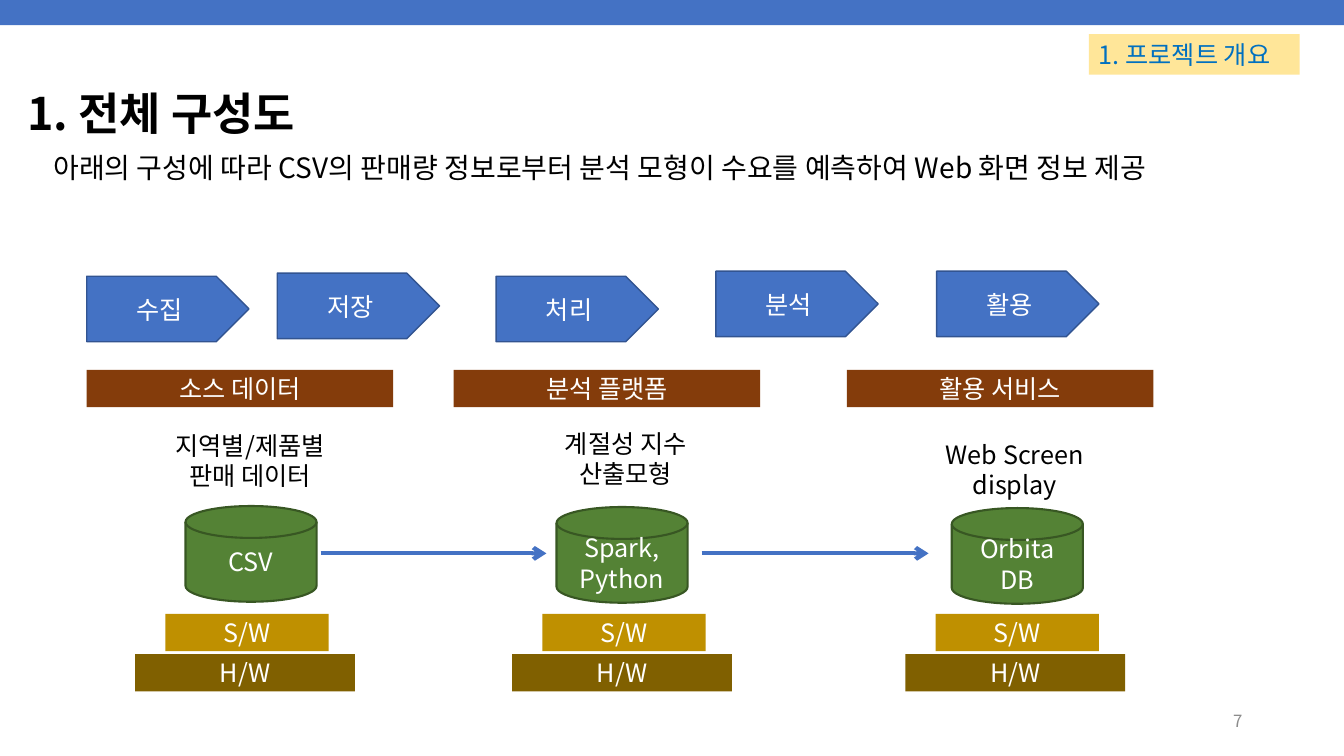
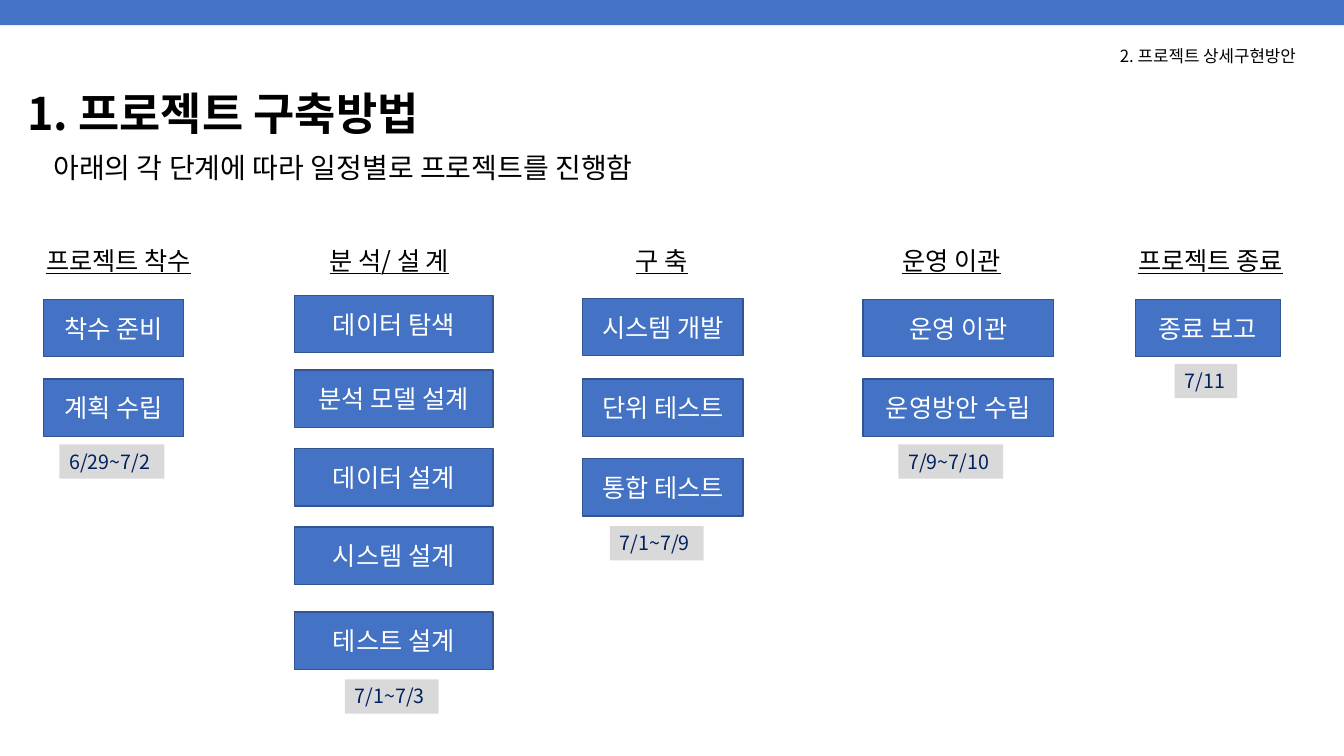
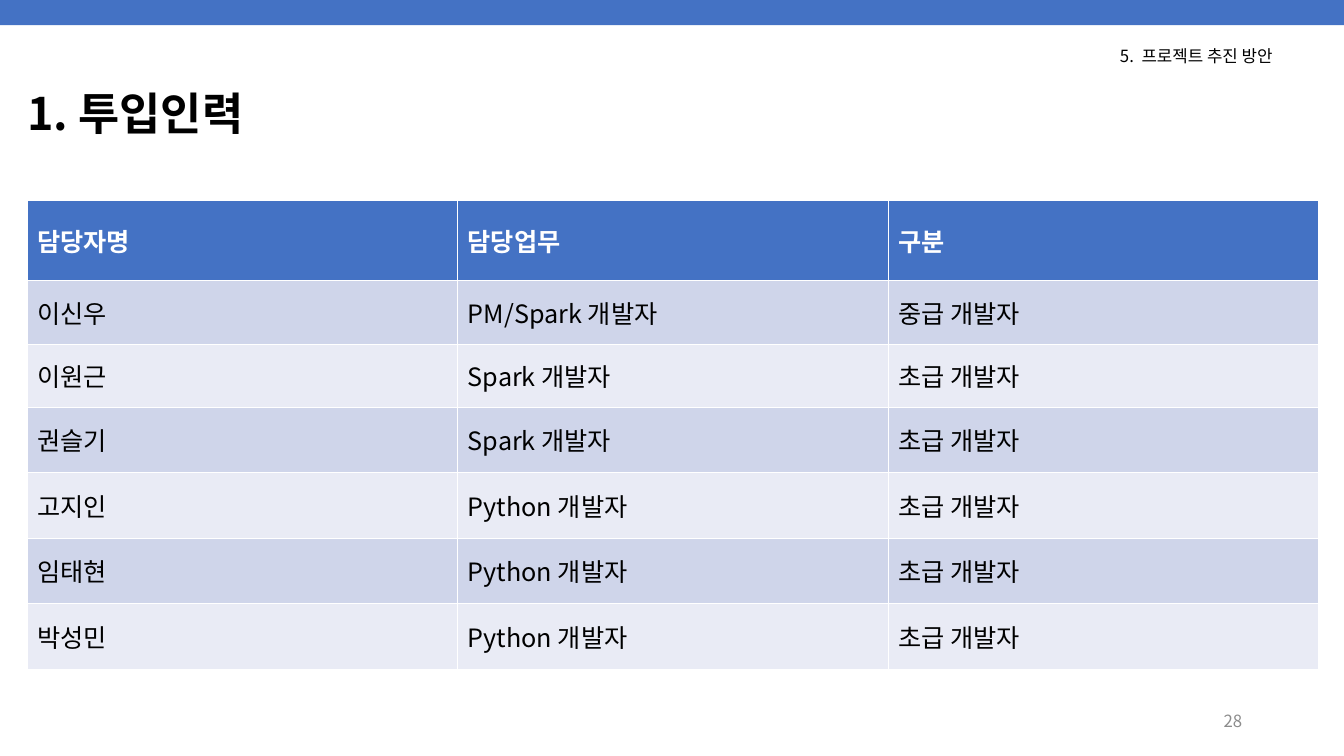
from lxml import etree
from pptx import Presentation
from pptx.dml.color import RGBColor
from pptx.enum import shapes, text
from pptx.oxml.ns import qn
from pptx.util import Inches, Pt

FONT = "Noto Sans CJK KR"
WIDTH, HEIGHT = 13.33, 7.5
COLORS = {
    "blue": "4472C4", "edge": "325491", "black": "000000", "white": "FFFFFF",
    "gray": "8C8C8C", "cream": "FFE699", "sky": "0070C0", "brown": "843C0B",
    "green": "548235", "forest": "385723", "gold": "BF9000", "olive": "806000",
    "silver": "D9D9D9", "navy": "002060", "band": "CFD5EA", "pale": "E9EBF5",
}
SHAPE = shapes.MSO_SHAPE
LEFT, CENTER, RIGHT = text.PP_ALIGN.LEFT, text.PP_ALIGN.CENTER, text.PP_ALIGN.RIGHT
TOP, MIDDLE = text.MSO_ANCHOR.TOP, text.MSO_ANCHOR.MIDDLE

STEPS = [("수집", 0.86, 2.74), ("저장", 2.75, 2.71), ("처리", 4.92, 2.74),
         ("분석", 7.1, 2.69), ("활용", 9.29, 2.69)]
STEP_SIZE = (1.61, 0.65)

PLATFORMS = [
    {"name": "소스 데이터", "left": 0.86, "ware": 1.64,
     "caption": ("지역별/제품별\n판매 데이터", 1.57, 4.22, 1.82),
     "store": ("CSV", 1.84, 5.02)},
    {"name": "분석 플랫폼", "left": 4.5, "ware": 5.38,
     "caption": ("계절성 지수\n산출모형", 5.43, 4.2, 1.55),
     "store": ("Spark,\nPython", 5.52, 5.03)},
    {"name": "활용 서비스", "left": 8.4, "ware": 9.28,
     "caption": ("Web Screen\ndisplay", 9.28, 4.31, 1.57),
     "store": ("Orbita\nDB", 9.44, 5.04)},
]
FLOWS = [(3.18, 5.42), (6.96, 9.21)]
FLOW_TOP = 5.49

PHASES = [
    {"name": "프로젝트 착수", "head": (0.36, 1.81), "left": 0.43, "width": 1.39,
     "tasks": [("착수 준비", 2.97), ("계획 수립", 3.76)],
     "dates": ("6/29~7/2", 0.59, 4.41, 1.04)},
    {"name": "분 석/ 설 계", "head": (3.17, 1.57), "left": 2.92, "width": 1.97,
     "tasks": [("데이터 탐색", 2.93), ("분석 모델 설계", 3.67), ("데이터 설계", 4.45),
               ("시스템 설계", 5.23), ("테스트 설계", 6.07)],
     "dates": ("7/1~7/3", 3.42, 6.74, 0.93)},
    {"name": "구 축", "head": (6.21, 0.8), "left": 5.78, "width": 1.59,
     "tasks": [("시스템 개발", 2.96), ("단위 테스트", 3.76), ("통합 테스트", 4.55)],
     "dates": ("7/1~7/9", 6.05, 5.22, 0.93)},
    {"name": "운영 이관", "head": (8.85, 1.3), "left": 8.56, "width": 1.89,
     "tasks": [("운영 이관", 2.97), ("운영방안 수립", 3.76)],
     "dates": ("7/9~7/10", 8.91, 4.41, 1.04)},
    {"name": "프로젝트 종료", "head": (11.19, 1.81), "left": 11.26, "width": 1.44,
     "tasks": [("종료 보고", 2.97)],
     "dates": ("7/11", 11.65, 3.61, 0.62)},
]

STAFF = [
    ("담당자명", "담당업무", "구분"),
    ("이신우", "PM/Spark 개발자", "중급 개발자"),
    ("이원근", "Spark 개발자", "초급 개발자"),
    ("권슬기", "Spark 개발자", "초급 개발자"),
    ("고지인", "Python 개발자", "초급 개발자"),
    ("임태현", "Python 개발자", "초급 개발자"),
    ("박성민", "Python 개발자", "초급 개발자"),
]
STAFF_ROWS = [0.79, 0.64, 0.62] + [0.65] * 4
STAFF_COLUMN = 4.27


def color(name):
    return RGBColor.from_string(COLORS[name])


def inches(*lengths):
    return [Inches(length) for length in lengths]


def write(frame, words, size=18, ink="black", align=LEFT, bold=False,
          underline=False, spacing=None):
    frame.text = words
    for para in frame.paragraphs:
        para.alignment = align
        if spacing:
            para.line_spacing = spacing
        font = para.font
        font.size, font.bold, font.underline = Pt(size), bold, underline
        font.color.rgb = color(ink)
        font.name = FONT
        defaults = para._p.pPr.find(qn("a:defRPr"))
        etree.SubElement(defaults, qn("a:ea"), typeface=FONT)


def add_text(page, words, place, wrap=True, anchor=TOP, fill=None, **style):
    box = page.shapes.add_textbox(*inches(*place))
    frame = box.text_frame
    write(frame, words, **style)
    frame.word_wrap, frame.vertical_anchor = wrap, anchor
    if not wrap:
        frame.auto_size = text.MSO_AUTO_SIZE.SHAPE_TO_FIT_TEXT
    if fill:
        box.fill.solid()
        box.fill.fore_color.rgb = color(fill)


def add_block(page, kind, place, fill, words="", edge=None, edge_width=1):
    block = page.shapes.add_shape(kind, *inches(*place))
    block.shadow.inherit = False
    block.fill.solid()
    block.fill.fore_color.rgb = color(fill)
    if edge:
        block.line.color.rgb = color(edge)
        block.line.width = Pt(edge_width)
    else:
        block.line.fill.background()
    if words:
        write(block.text_frame, words, ink="white", align=CENTER)
        block.text_frame.vertical_anchor = MIDDLE
    return block


def add_arrow(page, start, end, top):
    arrow = page.shapes.add_connector(shapes.MSO_CONNECTOR.STRAIGHT,
                                      *inches(start, top, end, top))
    arrow.line.color.rgb = color("blue")
    arrow.line.width = Pt(3)
    etree.SubElement(arrow.line._get_or_add_ln(), qn("a:tailEnd"), type="arrow")
    etree.SubElement(arrow.element.spPr, qn("a:effectLst"))


def add_page(deck, title, number=None):
    page = deck.slides.add_slide(deck.slide_layouts[5])
    heading = page.shapes.title
    heading.left, heading.top, heading.width, heading.height = inches(0.17, 0.71, 12.93, 0.89)
    frame = heading.text_frame
    write(frame, title, size=32, bold=True, spacing=0.9)
    frame.vertical_anchor = MIDDLE
    frame.auto_size = text.MSO_AUTO_SIZE.NONE
    if number:
        add_text(page, number, (9.42, 6.95, 3, 0.4), anchor=MIDDLE,
                 size=12, ink="gray", align=RIGHT)
    return page


def add_section(page, words, width):
    add_text(page, words, (11.01, 0.4, width, 0.3), wrap=False, size=12)


def build_overview(deck):
    page = add_page(deck, "1. 전체 구성도", "7")
    band = add_block(page, SHAPE.RECTANGLE, (0, 0, WIDTH, 0.25), "blue")
    page.slide_layout.shapes.element.append(band.element)
    add_text(page, "1. 프로젝트 개요", (10.8, 0.34, 2.09, 0.4), wrap=False,
             fill="cream", ink="sky")
    add_text(page, "아래의 구성에 따라 CSV의 판매량 정보로부터 분석 모형이 수요를 예측하여 Web 화면 정보 제공",
             (0.43, 1.41, 12.41, 0.76), size=20, spacing=1.1)
    for words, left, top in STEPS:
        add_block(page, SHAPE.PENTAGON, (left, top, *STEP_SIZE), "blue", words, "edge")
    for platform in PLATFORMS:
        add_block(page, SHAPE.RECTANGLE, (platform["left"], 3.67, 3.04, 0.37),
                  "brown", platform["name"])
        words, left, top, width = platform["caption"]
        add_text(page, words, (left, top, width, 0.71), wrap=False, align=CENTER)
        words, left, top = platform["store"]
        add_block(page, SHAPE.FLOWCHART_MAGNETIC_DISK, (left, top, 1.3, 0.95),
                  "green", words, "forest", 1.5)
        ware = platform["ware"]
        add_block(page, SHAPE.RECTANGLE, (ware, 6.09, 1.62, 0.37), "gold", "S/W")
        add_block(page, SHAPE.RECTANGLE, (ware - 0.3, 6.49, 2.18, 0.37), "olive", "H/W")
    for start, end in FLOWS:
        add_arrow(page, start, end, FLOW_TOP)


def build_schedule(deck):
    page = add_page(deck, "1. 프로젝트 구축방법")
    add_section(page, "2. 프로젝트 상세구현방안", 2.13)
    add_text(page, "아래의 각 단계에 따라 일정별로 프로젝트를 진행함",
             (0.43, 1.48, 12.41, 0.65), size=20, spacing=0.9)
    for phase in PHASES:
        left, width = phase["head"]
        add_text(page, phase["name"], (left, 2.38, width, 0.4), wrap=False, underline=True)
        for words, top in phase["tasks"]:
            add_block(page, SHAPE.RECTANGLE, (phase["left"], top, phase["width"], 0.57),
                      "blue", words, "edge")
        words, left, top, width = phase["dates"]
        add_text(page, words, (left, top, width, 0.34), wrap=False,
                 fill="silver", size=14, ink="navy")


def build_staff(deck):
    page = add_page(deck, "1. 투입인력", "28")
    add_section(page, "5.  프로젝트 추진 방안", 1.92)
    columns = len(STAFF[0])
    table = page.shapes.add_table(len(STAFF), columns, *inches(
        0.27, 1.99, STAFF_COLUMN * columns, sum(STAFF_ROWS))).table
    for column in table.columns:
        column.width = Inches(STAFF_COLUMN)
    for index, (entries, height) in enumerate(zip(STAFF, STAFF_ROWS)):
        table.rows[index].height = Inches(height)
        header = index == 0
        fill = "blue" if header else ("pale", "band")[index % 2]
        for cell, words in zip(table.rows[index].cells, entries):
            write(cell.text_frame, words, ink="white" if header else "black", bold=header)
            cell.vertical_anchor = MIDDLE
            cell.fill.solid()
            cell.fill.fore_color.rgb = color(fill)


def main():
    deck = Presentation()
    deck.slide_width, deck.slide_height = inches(WIDTH, HEIGHT)
    build_overview(deck)
    build_schedule(deck)
    build_staff(deck)
    deck.save("out.pptx")


if __name__ == "__main__":
    main()
